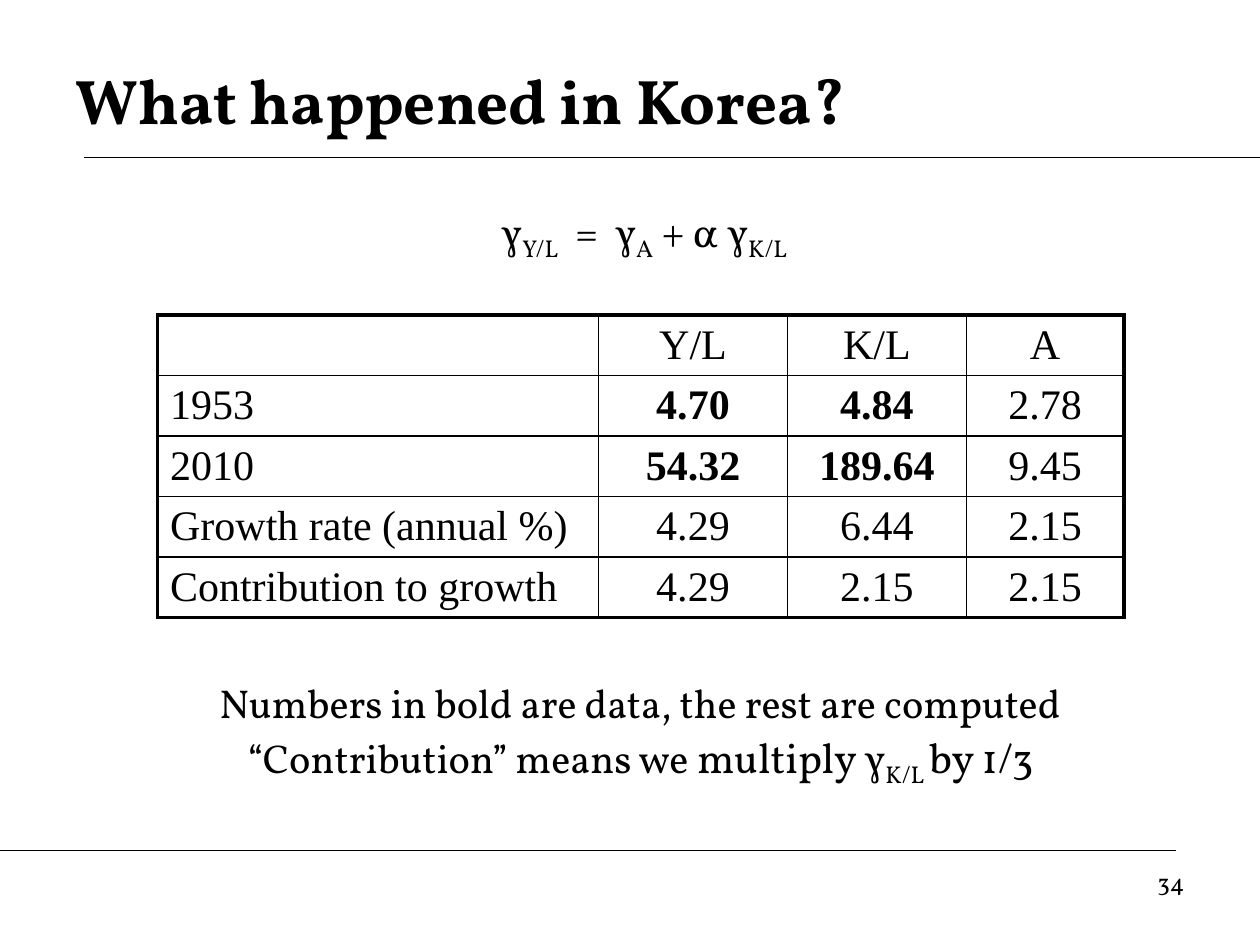
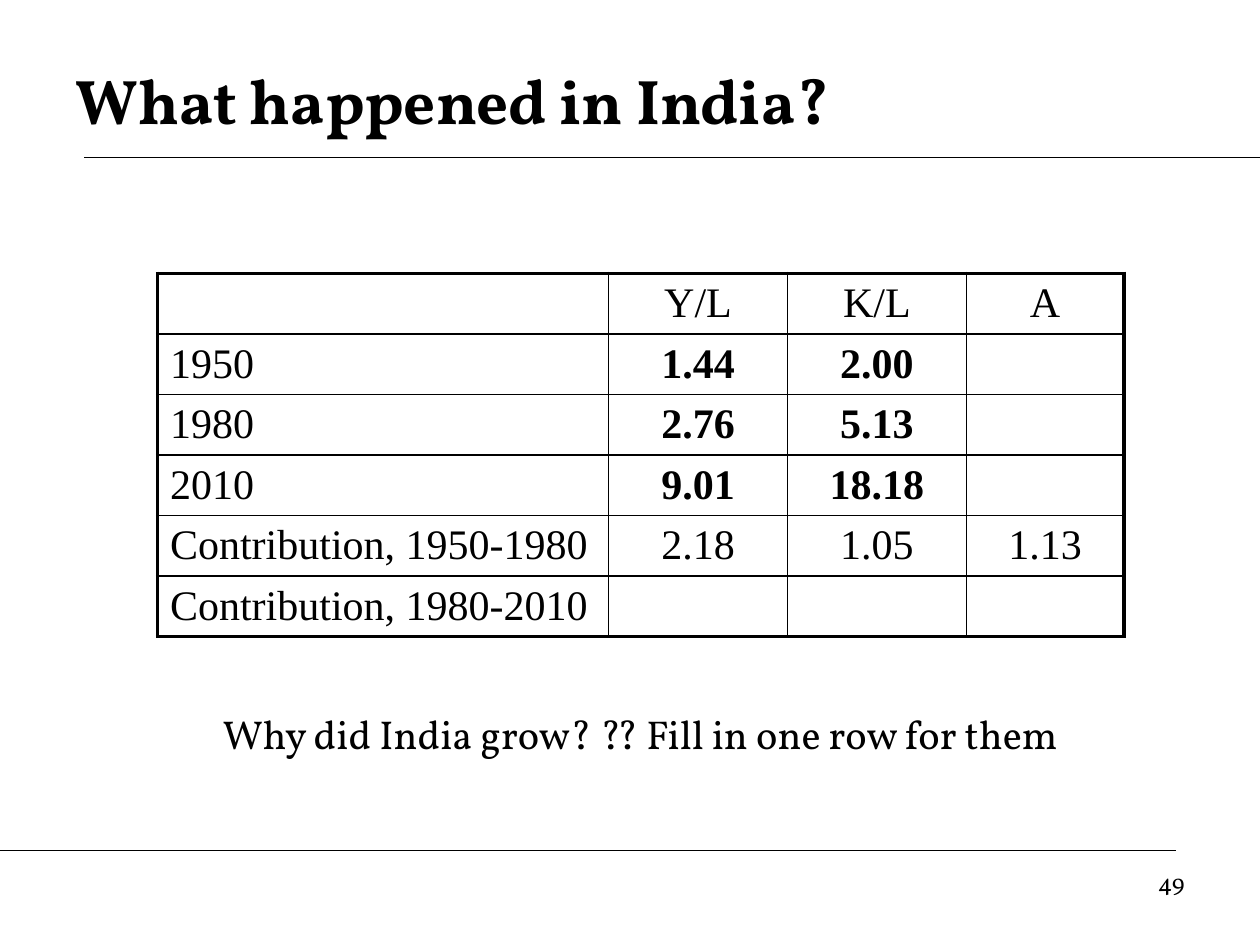
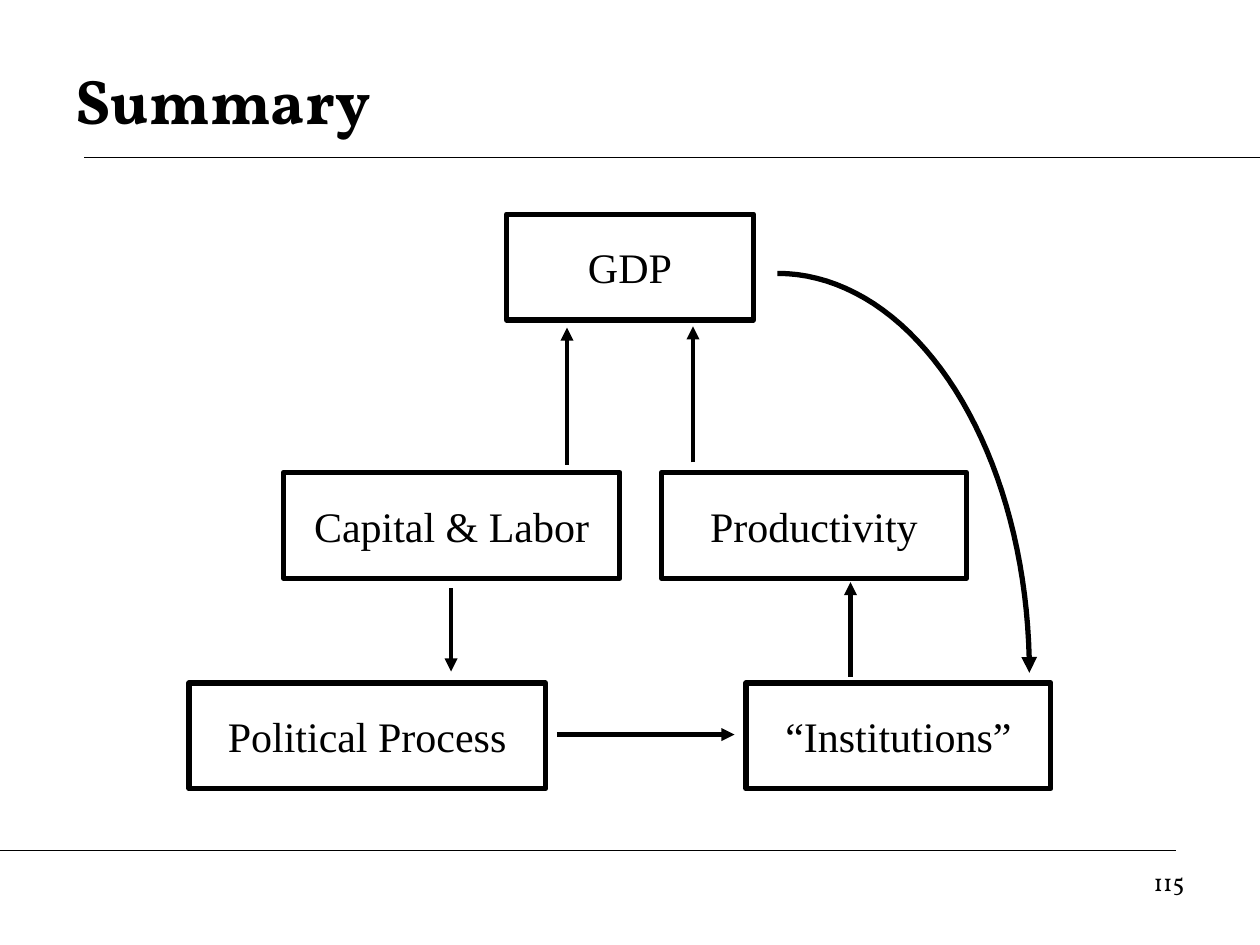
import math

import pptx
import pptx.dml.color
import pptx.enum.shapes
import pptx.enum.text
import pptx.oxml
import pptx.oxml.ns
import pptx.util
from pptx.util import Inches, Pt

COLOURS = {"ink": "000000", "paper": "FFFFFF"}
HEADING_FONT = "Vollkorn"
LABEL_FONT = "Times New Roman"
INK = pptx.dml.color.RGBColor.from_string(COLOURS["ink"])
PAPER = pptx.dml.color.RGBColor.from_string(COLOURS["paper"])
ALIGN = pptx.enum.text.PP_ALIGN
MIDDLE = pptx.enum.text.MSO_ANCHOR.MIDDLE
NAMESPACE = pptx.oxml.ns.nsdecls("a")


def write(para, parts, size, font=HEADING_FONT, align=ALIGN.CENTER, bold=False):
    para.alignment = align
    for part in parts:
        span = para.add_run()
        span.text = part.lstrip("_")
        span.font.name = font
        span.font.size = Pt(size)
        span.font.bold = bold
        span.font.color.rgb = INK
        if part.startswith("_"):
            span._r.get_or_add_rPr().set("baseline", "-25000")


def draw_line(page, start, end, width, arrow=False):
    line = page.shapes.add_connector(
        pptx.enum.shapes.MSO_CONNECTOR.STRAIGHT,
        Inches(start[0]), Inches(start[1]), Inches(end[0]), Inches(end[1]))
    line.line.color.rgb = INK
    line.line.width = Pt(width)
    if arrow:
        line.line._get_or_add_ln().append(
            pptx.oxml.parse_xml(f'<a:tailEnd {NAMESPACE} type="triangle"/>'))
    line._element.spPr.append(pptx.oxml.parse_xml(f"<a:effectLst {NAMESPACE}/>"))


deck = pptx.Presentation()
deck.slide_width = Inches(10)
deck.slide_height = Inches(7.5)

pages = []
for heading, number in [
    ("What happened in Korea?", "34"),
    ("What happened in India?", "49"),
    ("Summary", "115"),
]:
    page = deck.slides.add_slide(deck.slide_layouts[5])
    page.background.fill.solid()
    page.background.fill.fore_color.rgb = PAPER
    draw_line(page, (0.67, 1.25), (10, 1.25), 0.75)
    draw_line(page, (0, 6.75), (9.33, 6.75), 0.75)

    title = page.shapes.title
    title.left, title.top = Inches(0.5), Inches(0.33)
    title.width, title.height = Inches(9), Inches(0.92)
    title.text_frame.auto_size = pptx.enum.text.MSO_AUTO_SIZE.NONE
    title.text_frame.vertical_anchor = MIDDLE
    write(title.text_frame.paragraphs[0], [heading], 36, align=ALIGN.LEFT, bold=True)

    footer = page.shapes.add_textbox(Inches(7.17), Inches(6.83), Inches(2.33), Inches(0.52))
    footer.text_frame.word_wrap = True
    write(footer.text_frame.paragraphs[0], [number], 14, align=ALIGN.RIGHT)
    pages.append(page)

korea, india, summary = pages

korea_rows = [
    ["", "Y/L", "K/L", "A"],
    ["1953", "4.70", "4.84", "2.78"],
    ["2010", "54.32", "189.64", "9.45"],
    ["Growth rate (annual %)", "4.29", "6.44", "2.15"],
    ["Contribution to growth", "4.29", "2.15", "2.15"],
]
india_rows = [
    ["", "Y/L", "K/L", "A"],
    ["1950", "1.44", "2.00", ""],
    ["1980", "2.76", "5.13", ""],
    ["2010", "9.01", "18.18", ""],
    ["Contribution, 1950-1980", "2.18", "1.05", "1.13"],
    ["Contribution, 1980-2010", "", "", ""],
]
row_height = 0.47
for page, top, widths, rows in [
    (korea, 2.5, [3.5, 1.5, 1.42, 1.25], korea_rows),
    (india, 2.17, [3.58, 1.42, 1.42, 1.25], india_rows),
]:
    table = page.shapes.add_table(
        len(rows), len(widths), Inches(1.25), Inches(top),
        Inches(sum(widths)), Inches(row_height * len(rows))).table
    table.first_row = False
    table.horz_banding = False
    for column, width in zip(table.columns, widths):
        column.width = Inches(width)
    for y, values in enumerate(rows):
        table.rows[y].height = Inches(row_height)
        for x, value in enumerate(values):
            cell = table.cell(y, x)
            cell.margin_top = cell.margin_bottom = Inches(0.04)
            cell.vertical_anchor = MIDDLE
            if value:
                write(cell.text_frame.paragraphs[0], [value], 24, LABEL_FONT,
                      ALIGN.CENTER if x else ALIGN.LEFT,
                      bold=x in (1, 2) and values[0].isdigit())
            outer_edges = {
                "lnL": x == 0,
                "lnR": x == len(widths) - 1,
                "lnT": y == 0,
                "lnB": y == len(rows) - 1,
            }
            for edge, outer in outer_edges.items():
                cell._tc.get_or_add_tcPr().append(pptx.oxml.parse_xml(
                    f'<a:{edge} {NAMESPACE} w="{Pt(2.25 if outer else 1)}"><a:solidFill>'
                    f'<a:srgbClr val="{COLOURS["ink"]}"/></a:solidFill></a:{edge}>'))
            cell.fill.background()

formula = ["γ", "_Y/L", "  =  γ", "_A", " + α γ", "_K/L "]
korea_notes = [
    (["Numbers in bold are data, the rest are computed"], 23),
    (["“Contribution” means we "], 23),
]
for page, place, lines in [
    (korea, (1.67, 1.58, 6.92, 0.81), [[(formula, 24)]]),
    (korea, (0.67, 5.33, 8.83, 0.92), [
        [(["Numbers in bold are data, the rest are computed"], 23)],
        [(["“Contribution” means we "], 23), (["multiply γ", "_K/L ", "by 1/3"], 24)],
    ]),
    (india, (0.67, 5.58, 8.83, 0.92), [
        [(["Why did India grow? ?? Fill in one row for them"], 23)],
    ]),
]:
    box = page.shapes.add_textbox(*map(Inches, place))
    box.text_frame.word_wrap = True
    for index, groups in enumerate(lines):
        para = box.text_frame.add_paragraph() if index else box.text_frame.paragraphs[0]
        if index:
            para.space_before = Pt(3)
        for parts, size in groups:
            write(para, parts, size)

for label, left, top, width in [
    ("Capital & Labor", 2.25, 3.75, 2.67),
    ("Productivity", 5.25, 3.75, 2.42),
    ("GDP", 4.02, 1.7, 1.96),
    ("“Institutions”", 5.92, 5.42, 2.42),
    ("Political Process", 1.5, 5.42, 2.83),
]:
    box = summary.shapes.add_shape(
        pptx.enum.shapes.MSO_SHAPE.RECTANGLE,
        Inches(left), Inches(top), Inches(width), Inches(0.84))
    box.shadow.inherit = False
    box.fill.background()
    box.line.color.rgb = INK
    box.line.width = Pt(3)
    frame = box.text_frame
    frame.margin_left = frame.margin_right = Inches(0.2)
    frame.margin_top = frame.margin_bottom = Inches(0.2)
    frame.vertical_anchor = MIDDLE
    write(frame.paragraphs[0], [label], 24, LABEL_FONT)

for start, end in [
    ((4.5, 3.69), (4.5, 2.6)),
    ((5.5, 3.67), (5.5, 2.59)),
    ((6.75, 5.37), (6.75, 4.62)),
    ((4.42, 5.83), (5.83, 5.83)),
    ((3.58, 4.67), (3.58, 5.33)),
]:
    draw_line(summary, start, end, 2.5, arrow=True)

steps = 40
angles = [math.pi / 2 * step / steps for step in range(steps + 1)]
curve = [(Inches(6.17 + 2 * math.sin(angle)), Inches(5.34 - 3.17 * math.cos(angle)))
         for angle in angles]
builder = summary.shapes.build_freeform(*curve[0])
builder.add_line_segments(curve[1:], close=False)
feedback = builder.convert_to_shape()
feedback.shadow.inherit = False
feedback.fill.background()
feedback.line.color.rgb = INK
feedback.line.width = Pt(3)
feedback.line._get_or_add_ln().append(
    pptx.oxml.parse_xml(f'<a:tailEnd {NAMESPACE} type="triangle"/>'))

deck.save("out.pptx")
